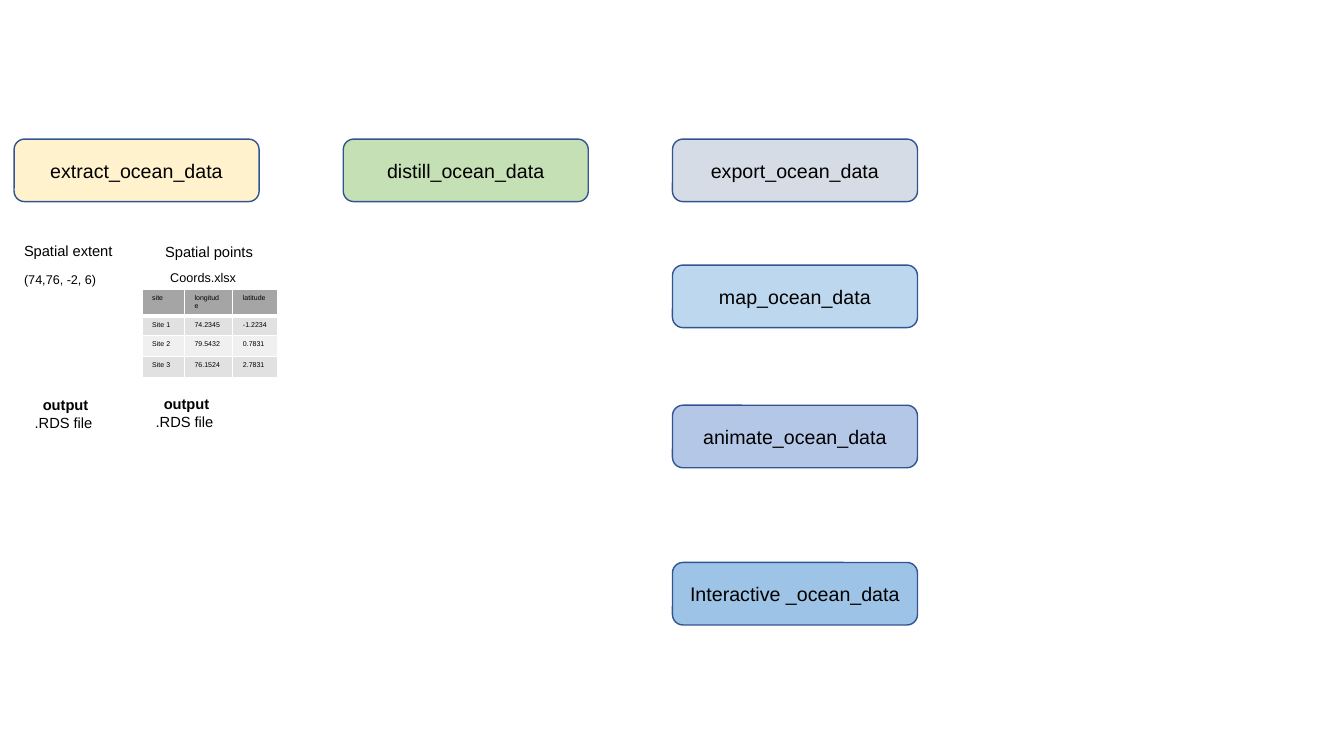
from dataclasses import dataclass

from lxml import etree
from pptx import Presentation
from pptx.dml.color import RGBColor
from pptx.enum.shapes import MSO_SHAPE
from pptx.enum.text import MSO_ANCHOR, MSO_AUTO_SIZE, PP_ALIGN
from pptx.oxml.ns import qn
from pptx.util import Inches, Pt

ROUNDED = MSO_SHAPE.ROUNDED_RECTANGLE
MIDDLE = MSO_ANCHOR.MIDDLE
GROW = MSO_AUTO_SIZE.SHAPE_TO_FIT_TEXT
LEFT, CENTER = PP_ALIGN.LEFT, PP_ALIGN.CENTER
BLANK_LAYOUT = 6


@dataclass(frozen=True)
class Theme:
    font: str = "Arial"
    text: str = "000000"
    outline: str = "325491"
    extract: str = "FFF2CC"
    distill: str = "C5E0B4"
    export: str = "D6DCE5"
    map: str = "BDD7EE"
    animate: str = "B4C7E7"
    interactive: str = "9DC3E6"
    table_header: str = "A5A5A5"
    table_bands: tuple = ("F0F0F0", "E1E1E1")
    table_border: str = "FFFFFF"
    function_size: float = 14
    label_size: float = 10.5
    detail_size: float = 9
    table_size: float = 5


theme = Theme()


def write_text(frame, text, size, align=LEFT, bold_first=False):
    """Fill the frame with one paragraph per line of text."""
    for index, line in enumerate(text.split("\n")):
        paragraph = frame.add_paragraph() if index else frame.paragraphs[0]
        paragraph.alignment = align
        run = paragraph.add_run()
        run.text = line
        run.font.name = theme.font
        run.font.size = Pt(size)
        run.font.bold = bold_first and index == 0
        run.font.color.rgb = RGBColor.from_string(theme.text)


def add_border(cell, side, width):
    """Draw one side (L, R, T or B) of a cell; call before setting its fill."""
    line = etree.SubElement(cell._tc.get_or_add_tcPr(), qn(f"a:ln{side}"), w=str(Pt(width)))
    fill = etree.SubElement(line, qn("a:solidFill"))
    etree.SubElement(fill, qn("a:srgbClr"), val=theme.table_border)


presentation = Presentation()
presentation.slide_width = Inches(13.33)
presentation.slide_height = Inches(7.5)
slide = presentation.slides.add_slide(presentation.slide_layouts[BLANK_LAYOUT])

# Function boxes: three columns, with the outputs stacked in the last one
MARGIN = 0.14
COLUMN_STEP = 3.265
ROW_TOPS = (1.38, 2.63, 4.02, 5.58)
BOX_WIDTH, BOX_HEIGHT = 2.43, 0.62

functions = [
    ("extract_ocean_data", 0, 0, theme.extract),
    ("distill_ocean_data", 1, 0, theme.distill),
    ("export_ocean_data", 2, 0, theme.export),
    ("map_ocean_data", 2, 1, theme.map),
    ("animate_ocean_data", 2, 2, theme.animate),
    ("Interactive _ocean_data", 2, 3, theme.interactive),
]
for name, column, row, color in functions:
    box = slide.shapes.add_shape(
        ROUNDED, Inches(MARGIN + column * COLUMN_STEP), Inches(ROW_TOPS[row]),
        Inches(BOX_WIDTH), Inches(BOX_HEIGHT))
    box.shadow.inherit = False
    box.fill.solid()
    box.fill.fore_color.rgb = RGBColor.from_string(color)
    box.line.color.rgb = RGBColor.from_string(theme.outline)
    box.line.width = Pt(1)
    box.text_frame.word_wrap = True
    box.text_frame.vertical_anchor = MIDDLE
    write_text(box.text_frame, name, theme.function_size, align=CENTER)

# Inputs and outputs of the extraction step
OUTPUT = "output\n.RDS file "
output_format = {"size": theme.label_size, "align": CENTER, "bold_first": True}
labels = [
    ("Spatial extent", MARGIN, 2.35, 1.1, 0.28, {"size": theme.label_size}),
    ("(74,76, -2, 6)", MARGIN, 2.65, 0.92, 0.25, {"size": theme.detail_size}),
    ("Spatial points", 1.54, 2.36, 1.09, 0.28, {"size": theme.label_size}),
    ("Coords.xlsx", 1.59, 2.63, 0.86, 0.25, {"size": theme.detail_size}),
    (OUTPUT, 0.24, 3.88, 0.82, 0.45, output_format),
    (OUTPUT, 1.44, 3.87, 0.82, 0.45, output_format),
]
for text, left, top, width, height, text_format in labels:
    label = slide.shapes.add_textbox(Inches(left), Inches(top), Inches(width), Inches(height))
    label.text_frame.word_wrap = False
    label.text_frame.auto_size = GROW
    write_text(label.text_frame, text, **text_format)

# Site coordinates
coordinates = [
    ("site", "longitude", "latitude"),
    ("Site 1", "74.2345", "-1.2234"),
    ("Site 2", "79.5432", "0.7831"),
    ("Site 3", "76.1524", "2.7831"),
]
column_widths = (0.42, 0.48, 0.44)
row_heights = (0.19, 0.19, 0.21, 0.21)
table = slide.shapes.add_table(
    len(row_heights), len(column_widths), Inches(1.41), Inches(2.87),
    Inches(sum(column_widths)), Inches(sum(row_heights))).table
for column, width in zip(table.columns, column_widths):
    column.width = Inches(width)
for row_index, (row, height) in enumerate(zip(table.rows, row_heights)):
    row.height = Inches(height)
    is_header = row_index == 0
    color = theme.table_header if is_header else theme.table_bands[row_index % 2]
    for cell, value in zip(row.cells, coordinates[row_index]):
        for side in "LRTB":
            header_edge = (side == "B" and is_header) or (side == "T" and row_index == 1)
            add_border(cell, side, 3 if header_edge else 1)
        cell.fill.solid()
        cell.fill.fore_color.rgb = RGBColor.from_string(color)
        write_text(cell.text_frame, value, theme.table_size)

presentation.save("out.pptx")
